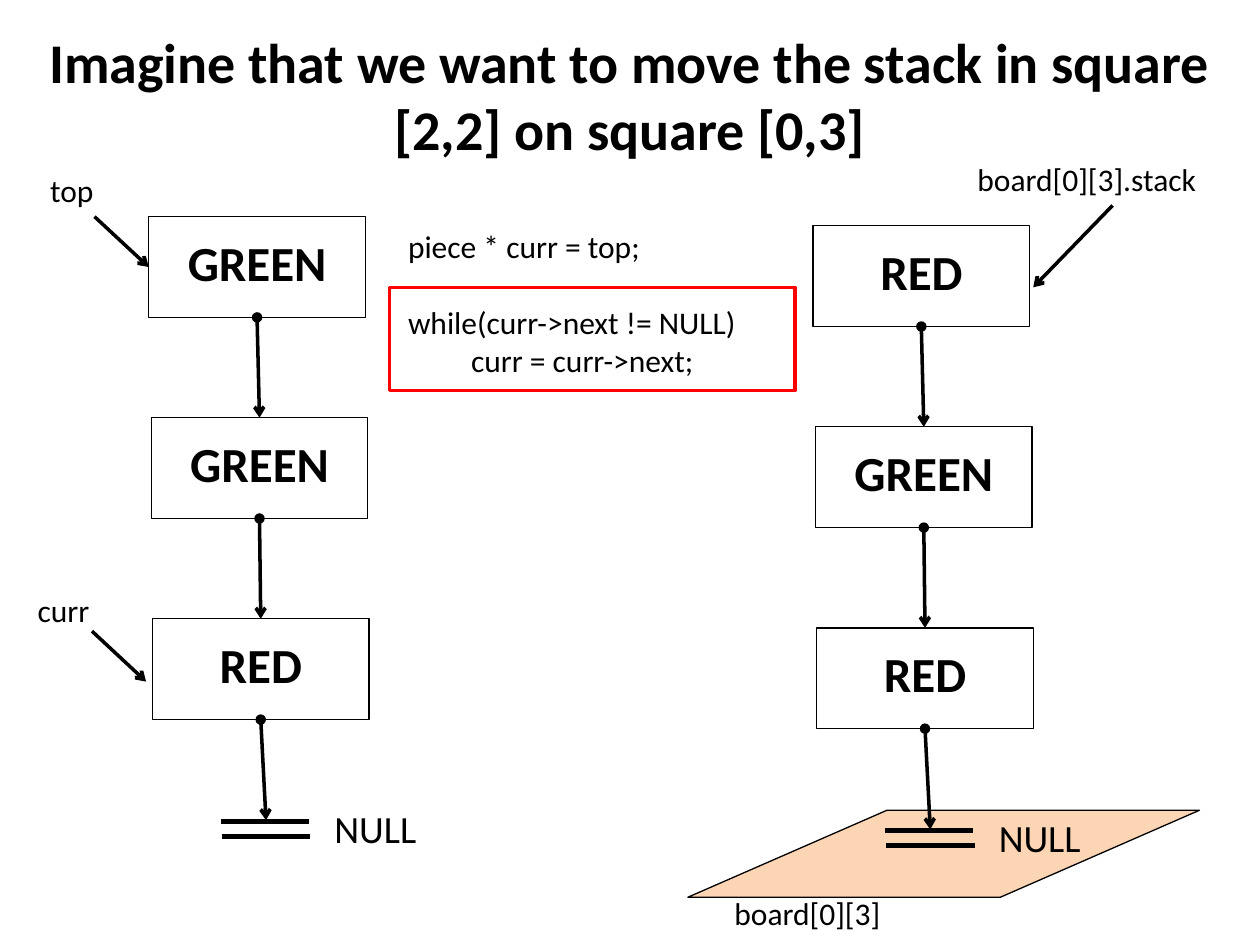
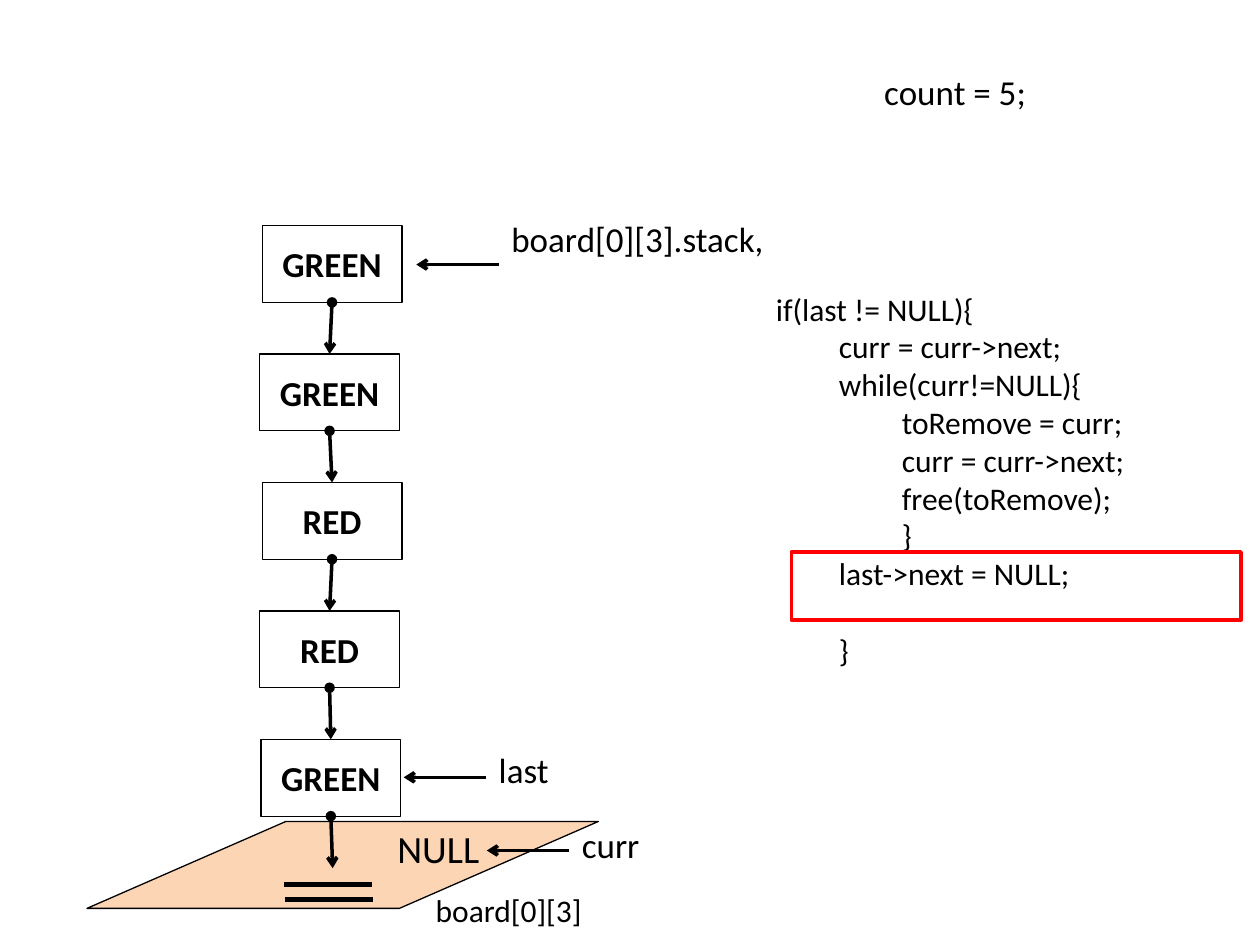
from lxml import etree
from pptx import Presentation
from pptx.dml.color import RGBColor
from pptx.enum.shapes import MSO_CONNECTOR as CONN, MSO_SHAPE as SHAPE
from pptx.enum.text import MSO_ANCHOR as ANCHOR, PP_ALIGN as ALIGN
from pptx.oxml.ns import qn
from pptx.util import Pt

BLACK, WHITE, RED, PEACH = "000000", "FFFFFF", "FF0000", "FCD5B5"
FONT = "Calibri"
TOP, LEFT, BOTTOM = 0, 1, 2
TAB = 36


def rgb(value):
    return RGBColor.from_string(value)


def write(tf, text, size=18, bold=False, align=ALIGN.LEFT, anchor=ANCHOR.TOP, color=BLACK):
    """Fill a frame with a string, or with (indent level, line, space before) rows."""
    rows = [(0, text, 0)] if isinstance(text, str) else text
    tf.word_wrap = True
    tf.vertical_anchor = anchor
    for i, (level, line, gap) in enumerate(rows):
        p = tf.paragraphs[0] if i == 0 else tf.add_paragraph()
        p.alignment = align
        if level:
            p._p.get_or_add_pPr().set("marL", str(Pt(TAB * level)))
        if gap:
            p.space_before = Pt(gap)
        r = p.add_run()
        r.text = line
        r.font.name, r.font.size, r.font.bold = FONT, Pt(size), bold
        r.font.color.rgb = rgb(color)


class Deck:
    """Holds the shared style and the slide being drawn; all lengths are in points."""

    def __init__(self):
        self.prs = Presentation()
        self.prs.slide_width, self.prs.slide_height = Pt(720), Pt(540)
        self.shapes = None

    def new_slide(self):
        self.shapes = self.prs.slides.add_slide(self.prs.slide_layouts[6]).shapes

    def text(self, x, y, w, h, text, **fmt):
        sp = self.shapes.add_textbox(Pt(x), Pt(y), Pt(w), Pt(h))
        write(sp.text_frame, text, **fmt)

    def title(self, text):
        self.text(0, 17.3, 720, 73.4, text, size=32, bold=True,
                  align=ALIGN.CENTER, anchor=ANCHOR.MIDDLE)

    def shape(self, kind, x, y, w, h, fill=None, line=BLACK, width=0.75):
        sp = self.shapes.add_shape(kind, Pt(x), Pt(y), Pt(w), Pt(h))
        sp.shadow.inherit = False
        if fill:
            sp.fill.solid()
            sp.fill.fore_color.rgb = rgb(fill)
        else:
            sp.fill.background()
        sp.line.color.rgb = rgb(line)
        sp.line.width = Pt(width)
        return sp

    def highlight(self, x, y, w, h):
        self.shape(SHAPE.RECTANGLE, x, y, w, h, line=RED, width=2)

    def square(self, x, y):
        sp = self.shape(SHAPE.PARALLELOGRAM, x, y, 292.3, 49.7, fill=PEACH)
        sp.adjustments[0] = 2.289

    def line(self, start, end, width=2, head=None, tail=None):
        """Join two ends, each an (x, y) point or a (shape, side) pair."""
        points = [(0, 0) if hasattr(a, "shape_id") else (Pt(a), Pt(b))
                  for a, b in (start, end)]
        cx = self.shapes.add_connector(CONN.STRAIGHT, *points[0], *points[1])
        for target, join in ((start, cx.begin_connect), (end, cx.end_connect)):
            if hasattr(target[0], "shape_id"):
                join(*target)
        cx.line.color.rgb = rgb(BLACK)
        cx.line.width = Pt(width)
        ln = cx.line._get_or_add_ln()
        for tag, kind in (("a:headEnd", head), ("a:tailEnd", tail)):
            if kind:
                etree.SubElement(ln, qn(tag)).set("type", kind)
        etree.SubElement(cx._element.spPr, qn("a:effectLst"))

    def arrow(self, start, end):
        self.line(start, end, tail="arrow")

    def link(self, box, end):
        self.line((box, BOTTOM), end, head="oval", tail="arrow")

    def null(self, x, y, label_x, label_y):
        """Draw the two bars that end a list, with their label."""
        for dx, dy in ((0, 0), (0.7, 8.6)):
            self.line((x + dx, y + dy), (x + dx + 50.6, y + dy), width=3)
        self.text(label_x, label_y, 123.8, 33.8, "NULL", size=22, align=ALIGN.CENTER)

    def stack(self, x, y, w, h, step, pieces, end, size, lift=0):
        """Draw linked boxes from (label, sideways shift) pairs; lift raises the labels."""
        boxes = []
        for i, (label, shift) in enumerate(pieces):
            box = self.shape(SHAPE.RECTANGLE, x + shift, y + i * step, w, h, fill=WHITE)
            tf = box.text_frame
            tf.margin_top, tf.margin_bottom = 0, Pt(2 * lift)
            write(tf, label, size=size, bold=True, align=ALIGN.CENTER, anchor=ANCHOR.MIDDLE)
            boxes.append(box)
        for box, following in zip(boxes, boxes[1:]):
            self.link(box, (following, TOP))
        self.link(boxes[-1], end)
        return boxes


def move_slide(deck):
    deck.new_slide()
    deck.title("Imagine that we want to move the stack in square [2,2] on square [0,3]")
    deck.square(393.1, 463)

    def list_at(dx, dy, labels):
        deck.null(126 + dx, 469.4 + dy, 152.6 + dx, 456.5 + dy)
        return deck.stack(85 + dx, 123.8 + dy, 123.8, 57.6, 114.9,
                          list(zip(labels, (0, 1.4, 2.1))),
                          (152 + dx, 468.7 + dy), size=28, lift=3)

    source = list_at(0, 0, ("GREEN", "GREEN", "RED"))
    list_at(379.6, 5.2, ("RED", "GREEN", "RED"))

    deck.text(21.6, 94.3, 112.3, 28.8, "top")
    deck.arrow((54, 123.8), (source[0], LEFT))
    deck.text(14.4, 334.1, 112.3, 28.8, "curr")
    deck.arrow((52.6, 360.7), (83.5, 389.5))
    deck.text(551.5, 87.8, 168.5, 28.8, "board[0][3].stack")
    deck.arrow((635.8, 117.4), (590.4, 164.2))
    deck.text(412.6, 507.6, 104.4, 28.8, "board[0][3]")
    deck.text(226.1, 126, 360, 123.8, [
        (0, "piece * curr = top;", 0),
        (0, "while(curr->next != NULL)", 22),
        (1, "curr = curr->next;", 0),
    ])
    deck.highlight(222.5, 164.2, 231.8, 59)


def remove_slide(deck):
    deck.new_slide()
    deck.square(49.7, 469.4)
    deck.null(162, 505.4, 188.6, 468)
    deck.stack(149.8, 128.9, 79.9, 43.9, 73.4,
               [("GREEN", 0), ("GREEN", -1.4), ("RED", 0), ("RED", -1.4), ("GREEN", -0.7)],
               (190.1, 496.1), size=20)

    pointers = (
        ("board[0][3].stack,", 285.1, 121, 151.2),
        ("last", 277.9, 424.1, 444.2),
        ("curr", 325.4, 467.3, 486),
    )
    for label, x, label_y, arrow_y in pointers:
        deck.text(x, label_y, 167, 31.7, label, size=20)
        deck.arrow((x, arrow_y), (x - 47.2, arrow_y))

    deck.text(241.9, 505.4, 104.4, 28.8, "board[0][3]")
    deck.text(498.2, 36.7, 167, 31.7, "count = 5;", size=20)
    deck.text(436.3, 162, 283, 247, [
        (0, "if(last != NULL){", 0),
        (1, "curr = curr->next;", 0),
        (1, "while(curr!=NULL){", 0),
        (2, "toRemove = curr;", 0),
        (2, "curr = curr->next;", 0),
        (2, "free(toRemove);", 0),
        (2, "}", 0),
        (1, "last->next = NULL;", 0),
        (1, "}", 22),
    ])
    deck.highlight(452.2, 315.4, 257, 38.9)


def main():
    deck = Deck()
    move_slide(deck)
    remove_slide(deck)
    deck.prs.save("out.pptx")


if __name__ == "__main__":
    main()
